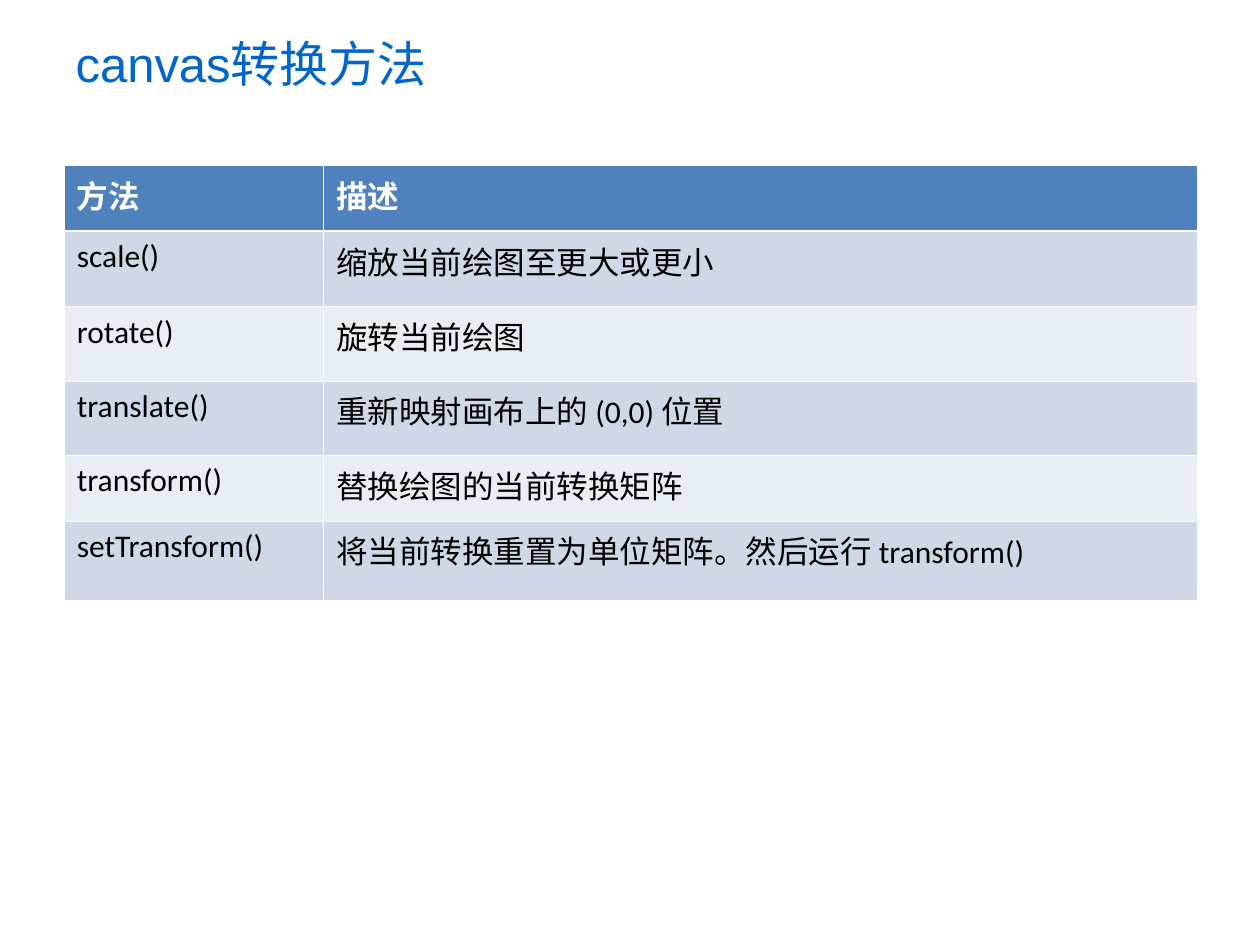
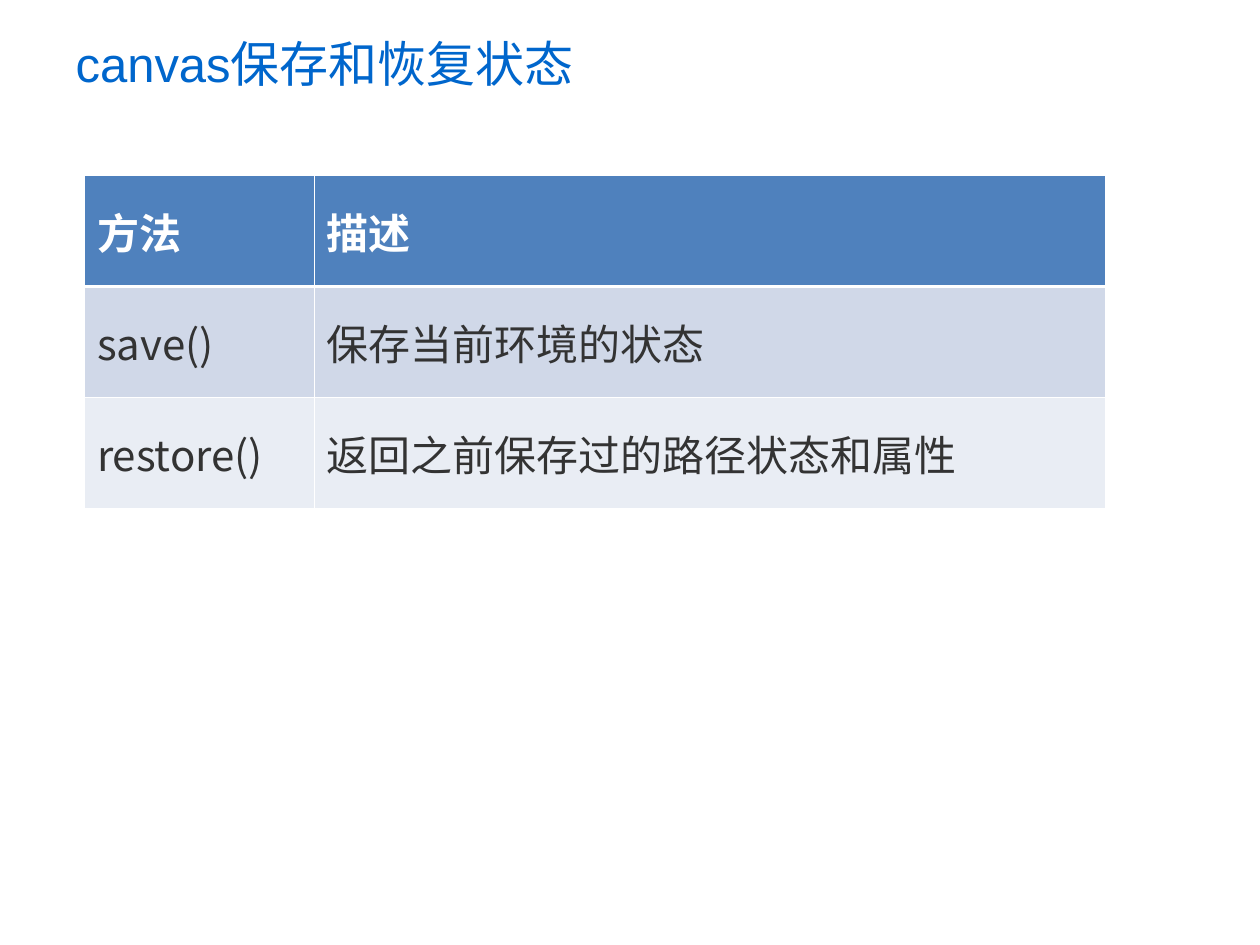
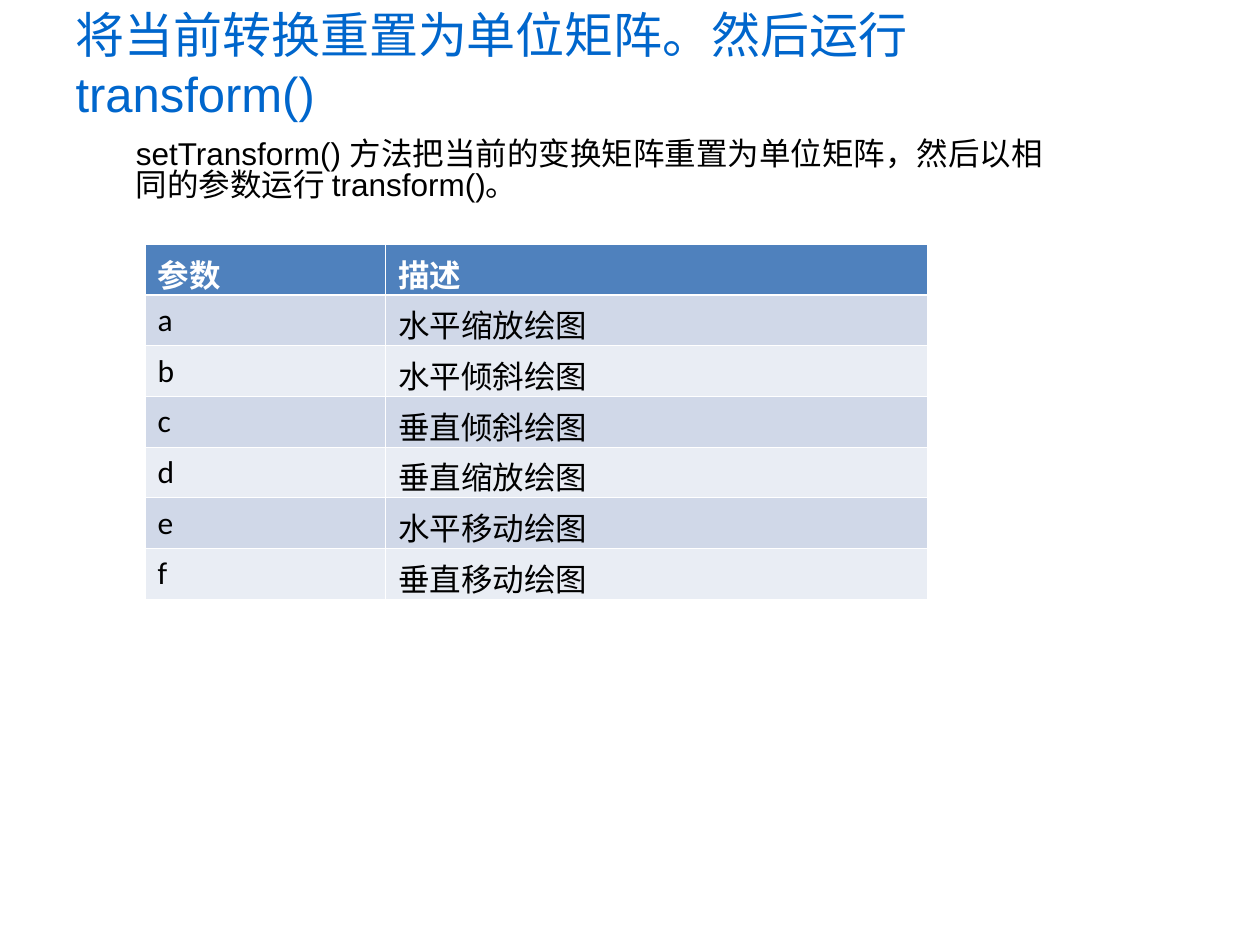
from dataclasses import dataclass

from lxml import etree
from pptx import Presentation
from pptx import util as u
from pptx.dml.color import RGBColor
from pptx.enum import text
from pptx.oxml.ns import qn

GRID = u.Inches(0.1)
SLIDE_COLUMNS, SLIDE_ROWS = 100, 75

TITLE_BLUE = RGBColor(0x00, 0x66, 0xCC)
HEADER_BLUE = RGBColor(0x4F, 0x81, 0xBD)
BAND_DARK = RGBColor(0xD0, 0xD8, 0xE8)
BAND_LIGHT = RGBColor(0xE9, 0xED, 0xF4)
WHITE = RGBColor(0xFF, 0xFF, 0xFF)
BLACK = RGBColor(0x00, 0x00, 0x00)
CHARCOAL = RGBColor(0x33, 0x33, 0x33)

ARIAL, CALIBRI, CHINESE = "Arial", "Calibri", "Noto Sans CJK SC"
THIN, THICK = 0.45, 1.47


@dataclass(frozen=True)
class MethodTable:
    left: float
    top: float
    columns: tuple[float, ...]
    rows: tuple[float, ...]
    cells: tuple[tuple[str, str], ...]
    size: int = 18
    color: RGBColor = BLACK
    first_font: str = CALIBRI
    anchor: text.MSO_ANCHOR = text.MSO_ANCHOR.TOP
    bottom_margin: float = 0


@dataclass(frozen=True)
class Page:
    title: str
    table: MethodTable
    note: str = ""


PAGES = (
    Page("canvas转换方法", MethodTable(
        5.1, 13.15, (20.6, 69.3), (5.2, 6, 5.9, 5.9, 5.2, 6.3),
        (("方法", "描述"),
         ("scale()", "缩放当前绘图至更大或更小"),
         ("rotate()", "旋转当前绘图"),
         ("translate()", "重新映射画布上的 (0,0) 位置"),
         ("transform()", "替换绘图的当前转换矩阵"),
         ("setTransform()", "将当前转换重置为单位矩阵。然后运行 transform()")))),
    Page("canvas保存和恢复状态", MethodTable(
        6.7, 13.95, (18.25, 62.8), (8.8,) * 3,
        (("方法", "描述"),
         ("save()", "保存当前环境的状态"),
         ("restore()", "返回之前保存过的路径状态和属性")),
        size=24, color=CHARCOAL, first_font=CHINESE,
        anchor=text.MSO_ANCHOR.MIDDLE, bottom_margin=0.5)),
    Page("将当前转换重置为单位矩阵。然后运行 transform()", MethodTable(
        11.5, 19.4, (19.1, 43), (4.02,) * 7,
        (("参数", "描述"),
         ("a", "水平缩放绘图"),
         ("b", "水平倾斜绘图"),
         ("c", "垂直倾斜绘图"),
         ("d", "垂直缩放绘图"),
         ("e", "水平移动绘图"),
         ("f", "垂直移动绘图"))),
        note="setTransform() 方法把当前的变换矩阵重置为单位矩阵，然后以相同的参数运行 transform()。"),
)


def grid(steps: float) -> int:
    return round(steps * GRID)


def write(frame, content: str, *, size: int, color: RGBColor, font: str = ARIAL,
          bold: bool = False, line_spacing: float = 1.0) -> None:
    paragraph = frame.paragraphs[0]
    paragraph.alignment = text.PP_ALIGN.LEFT
    paragraph.line_spacing = line_spacing
    paragraph.space_before = u.Pt(0)
    run = paragraph.add_run()
    run.text = content
    run.font.size = u.Pt(size)
    run.font.bold = bold
    run.font.name = font
    run.font.color.rgb = color
    latin = run.font._element.find(qn("a:latin"))
    east_asian = etree.Element(qn("a:ea"), typeface=CHINESE)
    latin.addnext(east_asian)


def set_borders(cell, top: float, bottom: float) -> None:
    properties = cell._tc.get_or_add_tcPr()
    widths = (("lnL", THIN), ("lnR", THIN), ("lnT", top), ("lnB", bottom))
    for position, (side, width) in enumerate(widths):
        line = etree.Element(qn(f"a:{side}"), w=str(u.Pt(width)))
        fill = etree.SubElement(line, qn("a:solidFill"))
        etree.SubElement(fill, qn("a:srgbClr"), val=str(WHITE))
        properties.insert(position, line)


def add_title(slide, content: str) -> None:
    title = slide.shapes.title
    title.left, title.top, title.width, title.height = map(grid, (5, 0, 76.5, 10))
    frame = title.text_frame
    frame.auto_size = text.MSO_AUTO_SIZE.NONE
    frame.vertical_anchor = text.MSO_ANCHOR.MIDDLE
    write(frame, content, size=28, color=TITLE_BLUE)


def add_note(slide, content: str) -> None:
    note = slide.shapes.add_textbox(*map(grid, (9.8, 10.7, 74.8, 7)))
    note.text_frame.word_wrap = True
    write(note.text_frame, content, size=18, color=BLACK, line_spacing=0.82)


def add_method_table(slide, design: MethodTable) -> None:
    table = slide.shapes.add_table(
        len(design.rows), len(design.columns), grid(design.left), grid(design.top),
        grid(sum(design.columns)), grid(sum(design.rows))).table
    for column, width in zip(table.columns, design.columns):
        column.width = grid(width)
    for row_index, (height, values) in enumerate(zip(design.rows, design.cells)):
        table.rows[row_index].height = grid(height)
        header = row_index == 0
        band = HEADER_BLUE if header else (BAND_LIGHT, BAND_DARK)[row_index % 2]
        for column_index, value in enumerate(values):
            cell = table.cell(row_index, column_index)
            cell.vertical_anchor = design.anchor
            cell.margin_bottom = grid(design.bottom_margin)
            cell.fill.solid()
            cell.fill.fore_color.rgb = band
            set_borders(cell, THICK if row_index == 1 else THIN, THICK if header else THIN)
            write(cell.text_frame, value, size=design.size, bold=header,
                  color=WHITE if header else design.color,
                  font=CALIBRI if column_index else design.first_font)


def main() -> None:
    presentation = Presentation()
    presentation.slide_width = grid(SLIDE_COLUMNS)
    presentation.slide_height = grid(SLIDE_ROWS)
    for page in PAGES:
        slide = presentation.slides.add_slide(presentation.slide_layouts[5])
        add_title(slide, page.title)
        if page.note:
            add_note(slide, page.note)
        add_method_table(slide, page.table)
    presentation.save("out.pptx")


if __name__ == "__main__":
    main()
